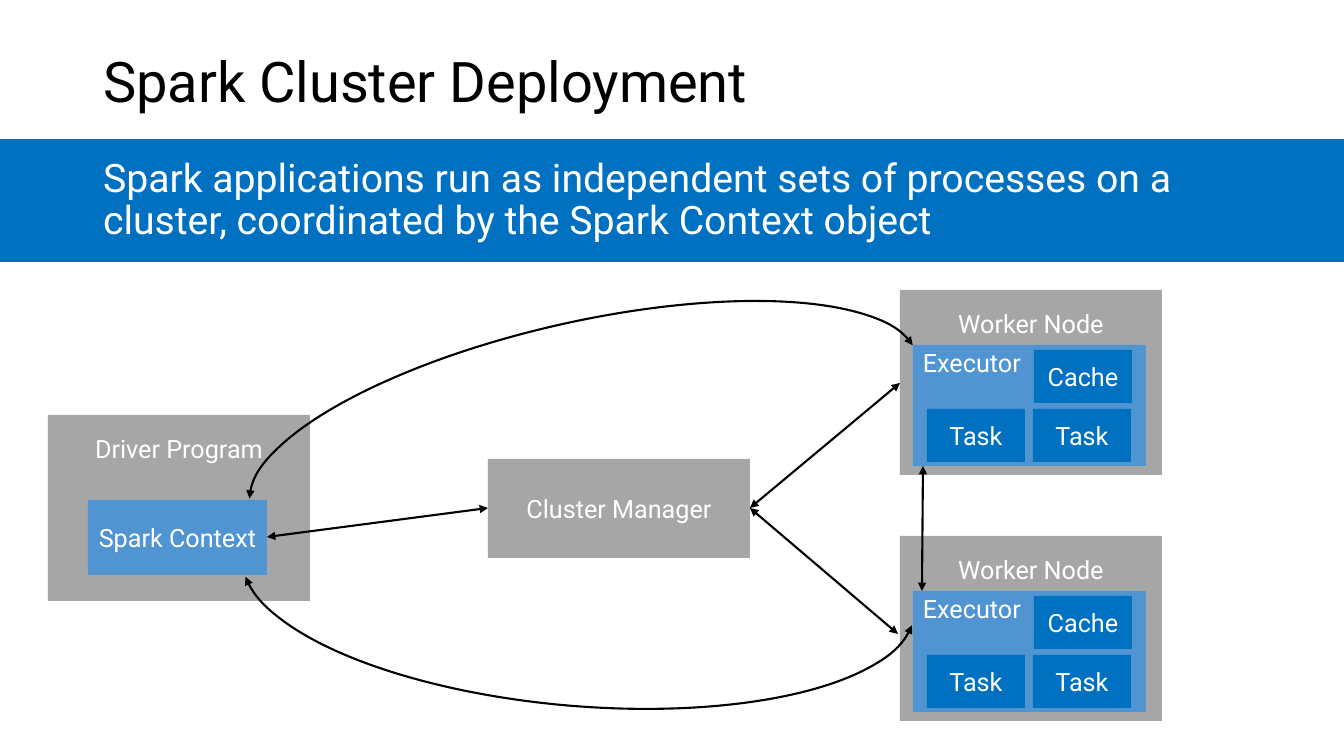
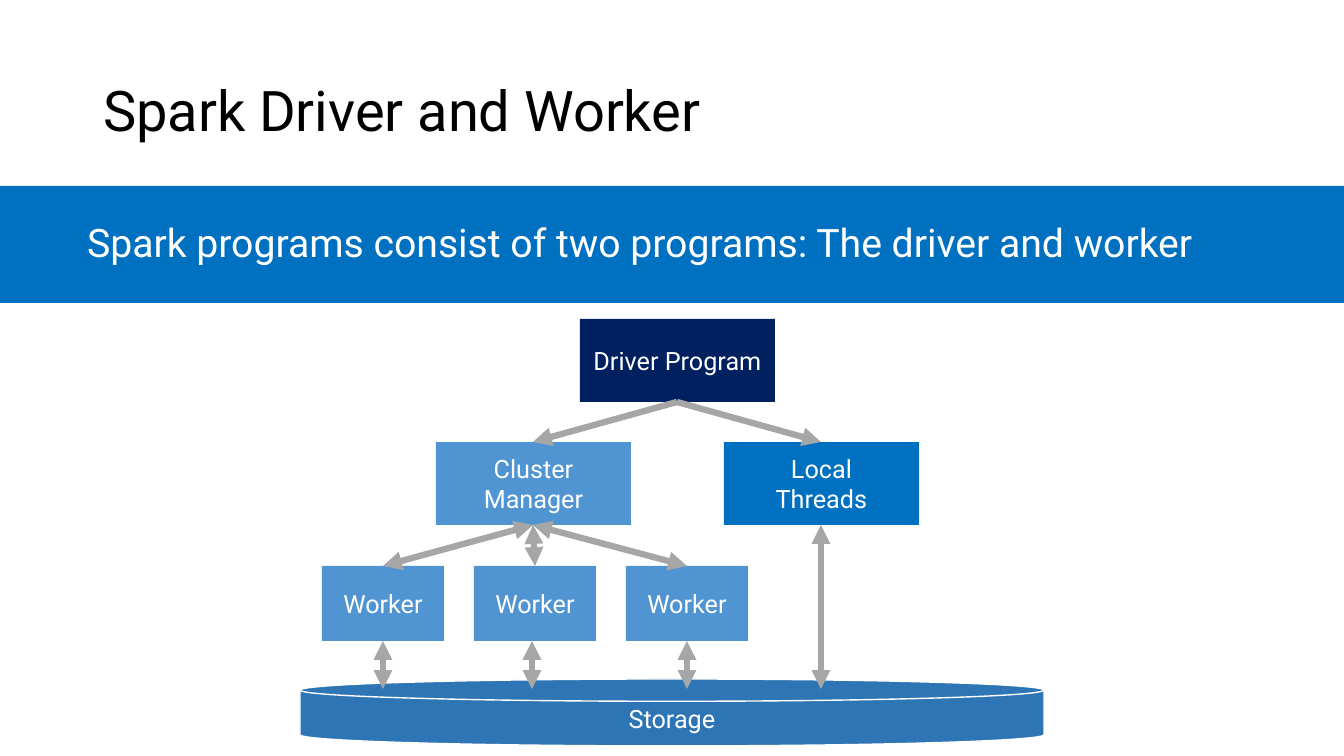
from lxml.etree import SubElement
from pptx import Presentation
from pptx.dml.color import RGBColor
from pptx.enum.shapes import MSO_CONNECTOR, MSO_SHAPE
from pptx.enum.text import MSO_ANCHOR, MSO_AUTO_SIZE, PP_ALIGN
from pptx.oxml.ns import qn
from pptx.util import Emu, Pt

PX = 914400 / 100.8


class Theme:
    font = "Roboto"
    black = RGBColor.from_string("000000")
    white = RGBColor.from_string("FFFFFF")
    gray = RGBColor.from_string("A6A6A6")
    navy = RGBColor.from_string("002060")
    blue = RGBColor.from_string("0070C0")
    light = RGBColor.from_string("5095D1")
    steel = RGBColor.from_string("2E75B5")
    title, lead, label = Pt(40), Pt(28), Pt(18)
    thin, thick = Pt(1.5), Pt(4.5)


def box(s, x, y, w, h, fill, lines=(), top=None, align=PP_ALIGN.CENTER,
        kind=MSO_SHAPE.RECTANGLE):
    """Filled shape with centred label, or label at a top inset in px."""
    sp = s.shapes.add_shape(kind, *(Emu(round(v * PX)) for v in (x, y, w, h)))
    sp.shadow.inherit = False
    sp.fill.solid()
    sp.fill.fore_color.rgb = fill
    sp.line.fill.background()
    tf = sp.text_frame
    tf.word_wrap = True
    tf.vertical_anchor = MSO_ANCHOR.MIDDLE
    if top is not None:
        tf.vertical_anchor = MSO_ANCHOR.TOP
        tf.margin_top = Emu(round(top * PX))
    for i, text in enumerate(lines):
        p = tf.add_paragraph() if i else tf.paragraphs[0]
        p.alignment = align
        r = p.add_run()
        r.text = text
        r.font.name, r.font.size, r.font.color.rgb = Theme.font, Theme.label, Theme.white
    return sp


def arrow(s, ends, color, width, both=True, arc=None):
    """Straight arrow between two points, or an arc given as (box, angles, rotation, flip)."""
    if arc:
        frame, angles, rotation, flip = arc
        sp = s.shapes.add_shape(MSO_SHAPE.ARC, *(Emu(round(v * PX)) for v in frame))
        sp.shadow.inherit = False
        sp.fill.background()
        sp.adjustments[0], sp.adjustments[1] = angles
        sp.rotation = rotation
        if flip:
            sp._element.spPr.find(qn("a:xfrm")).set("flipV", "1")
    else:
        sp = s.shapes.add_connector(MSO_CONNECTOR.STRAIGHT,
                                    *(Emu(round(v * PX)) for v in ends))
    sp.line.color.rgb, sp.line.width = color, width
    ln = sp._element.spPr.find(qn("a:ln"))
    for end in ("a:headEnd", "a:tailEnd") if both else ("a:tailEnd",):
        SubElement(ln, qn(end)).set("type", "triangle")
    if not arc:
        SubElement(sp._element.spPr, qn("a:effectLst"))


prs = Presentation()
prs.slide_width, prs.slide_height = Emu(round(1344 * PX)), Emu(round(756 * PX))

# Title, blue band and lead sentence of each slide
FRAMES = [
    ("Spark Cluster Deployment", 11, (139, 123), (93, 1128),
     "Spark applications run as independent sets of processes on a cluster, "
     "coordinated by the Spark Context object"),
    ("Spark Driver and Worker", 40, (186, 117), (77, 1198),
     "Spark programs consist of two programs: The driver and worker"),
]
slides = []
for title, title_y, (band_y, band_h), (lead_x, lead_w), lead in FRAMES:
    s = prs.slides.add_slide(prs.slide_layouts[1])
    slides.append(s)
    band = box(s, 0, band_y, 1344, band_h, Theme.blue)
    s.shapes._spTree.insert(2, band._element)
    for sp, frame, text, size, color in (
        (s.shapes.title, (93, title_y, 1159, 146), title, Theme.title, Theme.black),
        (s.placeholders[1], (lead_x, band_y, lead_w, band_h), lead, Theme.lead, Theme.white),
    ):
        sp.left, sp.top, sp.width, sp.height = (Emu(round(v * PX)) for v in frame)
        tf = sp.text_frame
        tf.word_wrap = True
        tf.auto_size = MSO_AUTO_SIZE.NONE
        tf.vertical_anchor = MSO_ANCHOR.MIDDLE
        p = tf.paragraphs[0]
        p.alignment = PP_ALIGN.LEFT
        p.line_spacing, p.space_before = 0.9, Pt(0)
        pPr = p._p.get_or_add_pPr()
        pPr.set("marL", "0")
        pPr.set("indent", "0")
        SubElement(pPr, qn("a:buNone"))
        r = p.add_run()
        r.text = text
        r.font.name, r.font.size, r.font.color.rgb = Theme.font, size, color

# Slide 1: driver and cluster manager
s = slides[0]
box(s, 48, 415, 262, 186, Theme.gray, ["Driver Program"], top=18)
box(s, 88, 500, 179, 75, Theme.light, ["Spark Context"])
box(s, 488, 459, 262, 99, Theme.gray, ["Cluster Manager"])

# Slide 1: worker nodes
for y in (290, 536):
    box(s, 900, y, 262, 185, Theme.gray, ["Worker Node"], top=18)
    box(s, 913, y + 55, 233, 121, Theme.light, ["Executor"], top=2, align=PP_ALIGN.LEFT)
    for x, dy, text in ((1034, 60, "Cache"), (927, 119, "Task"), (1033, 119, "Task")):
        box(s, x, y + dy, 98, 53, Theme.blue, [text])

# Slide 1: arcs from the context to the executors, then straight arrows
for arc in (
    ((242, 322, 684, 220), (108.86, 214.75), 347.3, False),
    ((241, 463, 675, 243), (110.15, 214.75), 4.9, True),
):
    arrow(s, None, Theme.black, Theme.thin, arc=arc)
for ends in ((267, 537, 488, 508), (750, 508, 900, 383),
             (750, 508, 898, 634), (923, 466, 922, 591)):
    arrow(s, ends, Theme.black, Theme.thin)

# Slide 2: storage, driver and its two modes
s = slides[1]
storage = box(s, 300, 679, 744, 67, Theme.steel, ["Storage"],
              kind=MSO_SHAPE.FLOWCHART_MAGNETIC_DISK)
storage.line.color.rgb, storage.line.width = Theme.white, Pt(1)
for x, y, fill, lines in (
    (580, 319, Theme.navy, ["Driver Program"]),
    (436, 442, Theme.light, ["Cluster Manager"]),
    (724, 442, Theme.blue, ["Local", "Threads"]),
):
    box(s, x, y, 195, 83, fill, lines)

# Slide 2: workers, then arrows down the tree
worker_xs = [322 + 152 * i for i in range(3)]
for x in worker_xs:
    box(s, x, 566, 122, 75, Theme.light, ["Worker"])
for x, y in ((821, 525), (383, 641), (532, 641), (687, 641)):
    arrow(s, (x, y, x, 689), Theme.gray, Theme.thick)
for x in (533, 821):
    arrow(s, (677, 402, x, 442), Theme.gray, Theme.thick, both=False)
for x in worker_xs:
    arrow(s, (533, 525, x + 61, 566), Theme.gray, Theme.thick)

prs.save("out.pptx")
